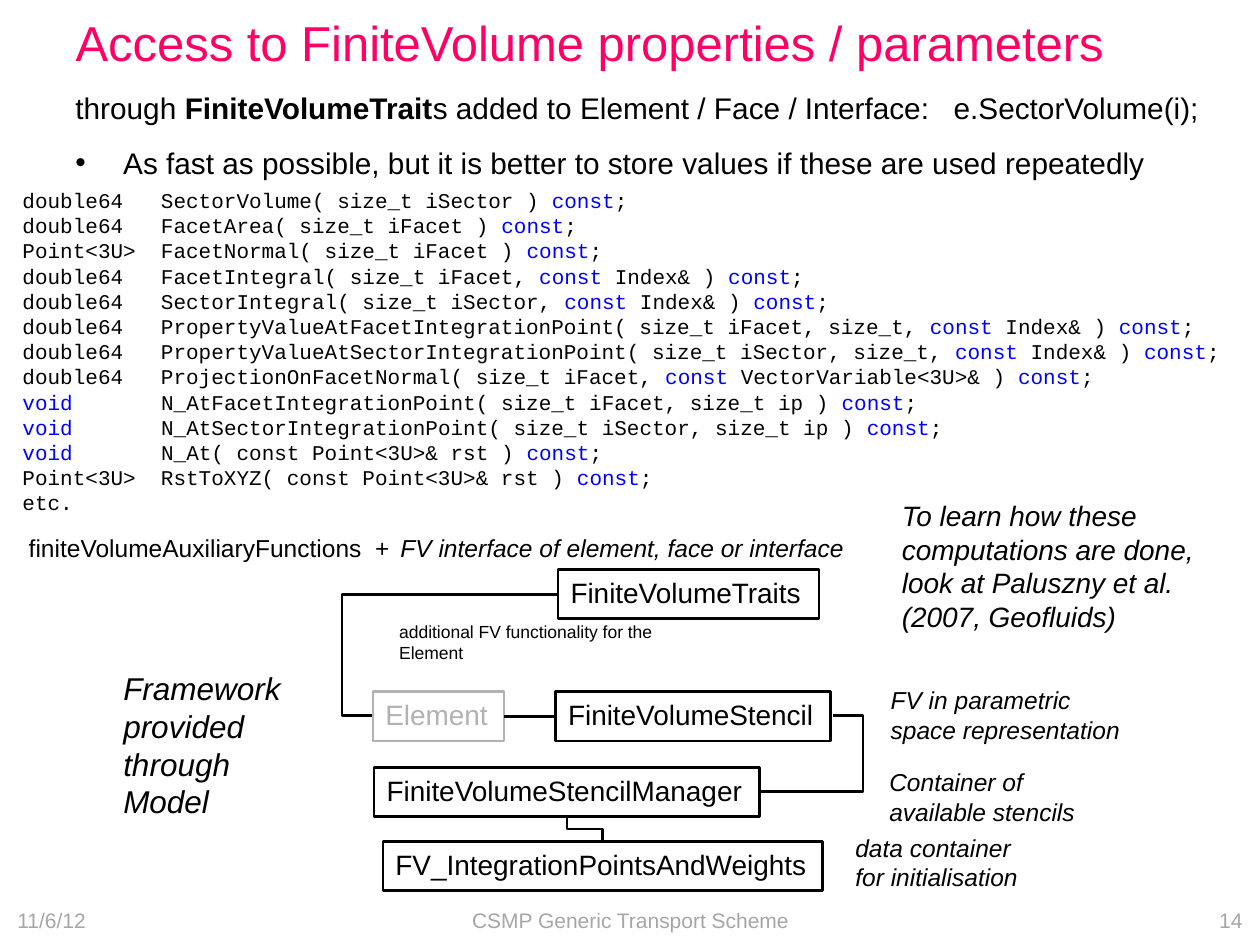
from lxml import etree
from pptx import Presentation, util as u
from pptx.dml.color import RGBColor
from pptx.enum import shapes, text
from pptx.oxml import ns

COLUMNS, ROWS = 100, 75
CELL = u.Inches(0.1)
BLACK, BLUE, PINK = "000000", "0000FF", "FF0066"
BOX_GREY, FOOTER_GREY = "B2B2B2", "A6A6A6"
BOX_ROWS = 3.9

SIGNATURES = [
    "double64   SectorVolume( size_t iSector ) |const|;",
    "double64   FacetArea( size_t iFacet ) |const|;",
    "Point<3U>  FacetNormal( size_t iFacet ) |const|;",
    "double64   FacetIntegral( size_t iFacet, |const |Index& ) |const|;",
    "double64   SectorIntegral( size_t iSector, |const |Index& ) |const|;",
    "double64   PropertyValueAtFacetIntegrationPoint( size_t iFacet, size_t, |const |Index& ) |const|;",
    "double64   PropertyValueAtSectorIntegrationPoint( size_t iSector, size_t, |const |Index& ) |const|;",
    "double64   ProjectionOnFacetNormal( size_t iFacet, |const |VectorVariable<3U>& ) |const|;",
    "|void       |N_AtFacetIntegrationPoint( size_t iFacet, size_t ip ) |const|;",
    "|void       |N_AtSectorIntegrationPoint( size_t iSector, size_t ip ) |const|;",
    "|void       |N_At( const Point<3U>& rst ) |const|;",
    "Point<3U>  RstToXYZ( const Point<3U>& rst ) |const|;",
    "etc.",
]

CLASS_BOXES = {
    "FiniteVolumeTraits": (44.3, 45.2, 20.7, BLACK),
    "Element": (29.6, 54.9, 10.4, BOX_GREY),
    "FiniteVolumeStencil": (44.1, 54.9, 21.8, BLACK),
    "FiniteVolumeStencilManager": (29.7, 60.9, 30.6, BLACK),
    "FV_IntegrationPointsAndWeights": (30.4, 66.8, 34.9, BLACK),
}

NOTES = [
    ("To learn how these computations are done, look at Paluszny et al. (2007, Geofluids)",
     (70.6, 39.1, 27.3, 11.8), 16),
    ("Framework provided through Model", (8.8, 52.6, 16.1, 13.1), 18),
    ("FV in parametric space representation", (69.7, 53.9, 20.4, 5.7), 14),
    ("Container of available stencils", (69.6, 60.4, 20.4, 5.7), 14),
    ("data container for initialisation", (66.9, 65.6, 16.1, 5.7), 14),
    ("FV interface of element, face or interface", (30.8, 41.8, 39.4, 3.4), 14),
]

FOOTERS = [
    ("11/6/12", 0.4, 23.3, text.PP_ALIGN.LEFT),
    ("CSMP Generic Transport Scheme", 34.2, 31.7, text.PP_ALIGN.CENTER),
    ("14", 76.3, 23.3, text.PP_ALIGN.RIGHT),
]


def grid(*cells):
    return [round(cell * CELL) for cell in cells]


def color(hex_value):
    return RGBColor.from_string(hex_value)


def style(font, size, hex_value=BLACK, name="Arial", italic=None):
    font.name = name
    font.size = u.Pt(size)
    font.color.rgb = color(hex_value)
    font.italic = italic


def add_text(slide, words, area, size, hex_value=BLACK, italic=None, align=None):
    box = slide.shapes.add_textbox(*grid(*area))
    frame = box.text_frame
    frame.word_wrap = True
    frame.text = words
    paragraph = frame.paragraphs[0]
    paragraph.alignment = align
    for run in paragraph.runs:
        style(run.font, size, hex_value, italic=italic)
    return frame


def add_marked_runs(paragraph, marked):
    pairs = []
    for index, part in enumerate(marked.split("|")):
        if part:
            run = paragraph.add_run()
            run.text = part
            pairs.append((run, index % 2 == 1))
    return pairs


def add_tab(paragraph, column):
    tabs = etree.SubElement(paragraph._p.get_or_add_pPr(), ns.qn("a:tabLst"))
    etree.SubElement(tabs, ns.qn("a:tab"), pos=str(grid(column)[0]), algn="l")


def add_bullet(paragraph, indent):
    properties = paragraph._p.get_or_add_pPr()
    length = grid(indent)[0]
    properties.set("marL", str(length))
    properties.set("indent", str(-length))
    etree.SubElement(properties, ns.qn("a:buFont"), typeface="Arial")
    etree.SubElement(properties, ns.qn("a:buChar"), char="•")


def add_title(slide, words):
    title = slide.shapes.title
    title.left, title.top, title.width, title.height = grid(5, 0.9, 90, 4.8)
    frame = title.text_frame
    frame.text = words
    frame.auto_size = text.MSO_AUTO_SIZE.NONE
    frame.vertical_anchor = text.MSO_ANCHOR.MIDDLE
    paragraph = frame.paragraphs[0]
    paragraph.alignment = text.PP_ALIGN.LEFT
    style(paragraph.runs[0].font, 28, PINK)


def add_introduction(slide):
    frame = add_text(slide, "", (5, 6.6, 92, 9.7), 17)
    opening = frame.paragraphs[0]
    add_tab(opening, 69.7)
    opening.space_after = u.Pt(8)
    marked = "through |FiniteVolumeTrait|s added to Element / Face / Interface:\te.SectorVolume(i);"
    for run, strong in add_marked_runs(opening, marked):
        style(run.font, 17)
        run.font.bold = strong
    advice = frame.add_paragraph()
    advice.text = "As fast as possible, but it is better to store values if these are used repeatedly"
    add_bullet(advice, 3.8)
    advice.space_before = u.Pt(3)
    advice.space_after = u.Pt(8)
    style(advice.runs[0].font, 17)


def add_code(slide):
    frame = add_text(slide, "", (0.8, 14.4, 99.1, 27.3), 12)
    for index, signature in enumerate(SIGNATURES):
        paragraph = frame.add_paragraph() if index else frame.paragraphs[0]
        for run, keyword in add_marked_runs(paragraph, signature):
            style(run.font, 12, BLUE if keyword else BLACK, "Courier New")


def add_class_box(slide, name, left, top, width, hex_value):
    box = slide.shapes.add_shape(shapes.MSO_SHAPE.RECTANGLE, *grid(left, top, width, BOX_ROWS))
    box.shadow.inherit = False
    box.fill.background()
    box.line.color.rgb = color(hex_value)
    box.line.width = u.Pt(1.5)
    frame = box.text_frame
    frame.word_wrap = True
    frame.vertical_anchor = text.MSO_ANCHOR.TOP
    frame.text = name
    paragraph = frame.paragraphs[0]
    paragraph.alignment = text.PP_ALIGN.LEFT
    style(paragraph.runs[0].font, 16, hex_value)
    return box


def add_link(slide, kind, begin, end, bend=None):
    link = slide.shapes.add_connector(kind, *grid(*begin, *end))
    link.line.color.rgb = color(BLACK)
    link.line.width = u.Pt(1.5)
    properties = link._element.spPr
    etree.SubElement(properties, ns.qn("a:effectLst"))
    if bend is not None:
        adjustments = properties.find(ns.qn("a:prstGeom")).find(ns.qn("a:avLst"))
        etree.SubElement(adjustments, ns.qn("a:gd"), name="adj1", fmla=f"val {round(bend * 100000)}")
    return link


def add_vertical_elbow(slide, begin, end):
    middle_x, middle_y = (begin[0] + end[0]) / 2, (begin[1] + end[1]) / 2
    half_x, half_y = (end[0] - begin[0]) / 2, (end[1] - begin[1]) / 2
    link = add_link(slide, shapes.MSO_CONNECTOR.ELBOW,
                    (middle_x + half_y, middle_y - half_x),
                    (middle_x - half_y, middle_y + half_x), 0.5)
    link._element.spPr.find(ns.qn("a:xfrm")).set("rot", str(270 * 60000))


def add_diagram(slide):
    boxes = {name: add_class_box(slide, name, *place) for name, place in CLASS_BOXES.items()}
    add_text(slide, "additional FV functionality for the Element", (30.7, 48.8, 27, 2.7), 10)
    straight = add_link(slide, shapes.MSO_CONNECTOR.STRAIGHT, (40, 56.8), (44.1, 56.8))
    straight.begin_connect(boxes["Element"], 3)
    straight.end_connect(boxes["FiniteVolumeStencil"], 1)
    elbow = shapes.MSO_CONNECTOR.ELBOW
    add_link(slide, elbow, (44.2, 47.2), (29.5, 56.8), 1.16)
    add_link(slide, elbow, (66.1, 56.8), (60.4, 62.8), -0.42)
    add_vertical_elbow(slide, (45, 64.9), (47.8, 66.7))


def main():
    presentation = Presentation()
    presentation.slide_width, presentation.slide_height = COLUMNS * CELL, ROWS * CELL
    slide = presentation.slides.add_slide(presentation.slide_layouts[5])
    add_title(slide, "Access to FiniteVolume properties / parameters")
    add_introduction(slide)
    add_diagram(slide)
    add_code(slide)
    for words, area, size in NOTES:
        add_text(slide, words, area, size, italic=True)
    helper = add_text(slide, "finiteVolumeAuxiliaryFunctions\t+", (1.3, 41.8, 39.4, 3.4), 14)
    add_tab(helper.paragraphs[0], 27.5)
    for words, left, width, align in FOOTERS:
        frame = add_text(slide, words, (left, 71, width, 4), 12, FOOTER_GREY, align=align)
        frame.vertical_anchor = text.MSO_ANCHOR.MIDDLE
    presentation.save("out.pptx")


if __name__ == "__main__":
    main()
